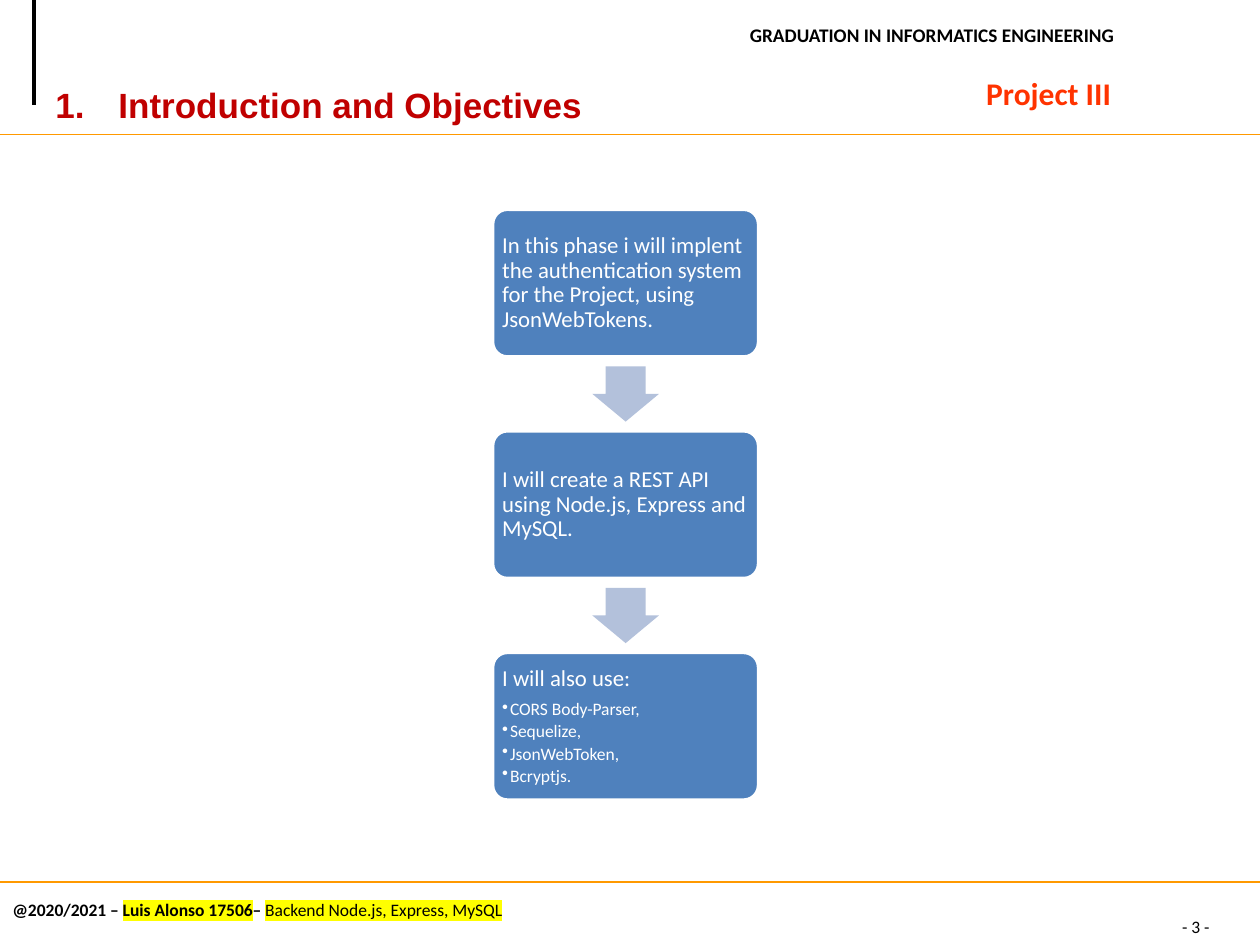
from lxml import etree
from pptx import Presentation
from pptx import util as u
from pptx.dml.color import RGBColor
from pptx.enum import shapes, text
from pptx.oxml.ns import qn

Pt = u.Pt
BLACK = RGBColor(0x00, 0x00, 0x00)
WHITE = RGBColor(0xFF, 0xFF, 0xFF)
ORANGE = RGBColor(0xFF, 0x99, 0x00)
RED = RGBColor(0xC0, 0x00, 0x00)
BRIGHT_RED = RGBColor(0xFF, 0x33, 0x00)
BLUE = RGBColor(0x4F, 0x81, 0xBD)
PALE_BLUE = RGBColor(0xB3, 0xC1, 0xDB)
YELLOW = RGBColor(0xFF, 0xFF, 0x00)

# Vertical flow of boxes joined by arrows
BOX_LEFT, BOX_TOP, BOX_WIDTH, BOX_HEIGHT = 281.5, 119.6, 152, 84.4
BOX_STEP = 126.6
ARROW_WIDTH, ARROW_HEIGHT = 38, 31.6
STEPS = [
    ("In this phase i will implent the authentication system "
     "for the Project, using JsonWebTokens.", []),
    ("I will create a REST API using Node.js, Express and MySQL.", []),
    ("I will also use:",
     ["CORS Body-Parser,", "Sequelize,", "JsonWebToken,", "Bcryptjs."]),
]


def add_run(paragraph, words, size, color, bold=False, font="Calibri", highlight=None):
    run = paragraph.add_run()
    run.text = words
    if highlight is not None:
        marker = etree.SubElement(run._r.get_or_add_rPr(), qn("a:highlight"))
        etree.SubElement(marker, qn("a:srgbClr"), val=str(highlight))
    run.font.size = Pt(size)
    run.font.bold = bold
    run.font.name = font
    run.font.color.rgb = color


def add_bullet(paragraph, indent, tag, **attributes):
    properties = paragraph._p.get_or_add_pPr()
    properties.set("marL", str(Pt(indent)))
    properties.set("indent", str(-Pt(indent)))
    etree.SubElement(properties, qn(tag), **attributes)


def add_line(slide, start, end, color, width):
    line = slide.shapes.add_connector(
        shapes.MSO_CONNECTOR.STRAIGHT, *(Pt(value) for value in start + end))
    line.line.color.rgb = color
    line.line.width = Pt(width)
    etree.SubElement(line._element.spPr, qn("a:effectLst"))


def add_label(slide, left, top, width, height, wrap=True):
    """Add a text box and return its first paragraph."""
    label = slide.shapes.add_textbox(Pt(left), Pt(top), Pt(width), Pt(height))
    label.text_frame.word_wrap = wrap
    return label.text_frame.paragraphs[0]


def add_preset(slide, preset, left, top, width, height, fill):
    shape = slide.shapes.add_shape(preset, Pt(left), Pt(top), Pt(width), Pt(height))
    shape.shadow.inherit = False
    shape.fill.solid()
    shape.fill.fore_color.rgb = fill
    return shape


def add_step(slide, top, heading, items):
    box = add_preset(slide, shapes.MSO_SHAPE.ROUNDED_RECTANGLE,
                     BOX_LEFT, top, BOX_WIDTH, BOX_HEIGHT, BLUE)
    box.adjustments[0] = 0.1
    box.line.color.rgb = WHITE
    box.line.width = Pt(2)
    frame = box.text_frame
    frame.word_wrap = True
    frame.vertical_anchor = text.MSO_ANCHOR.MIDDLE
    frame.margin_left = frame.margin_right = Pt(3)
    frame.margin_top = frame.margin_bottom = Pt(3)

    for index, words in enumerate([heading] + items):
        paragraph = frame.add_paragraph() if index else frame.paragraphs[0]
        paragraph.alignment = text.PP_ALIGN.LEFT
        paragraph.line_spacing = 0.9
        paragraph.space_after = Pt(1.8 if index else 5.5)
        if index:
            paragraph.level = 1
            add_bullet(paragraph, 4.5, "a:buChar", char="•")
        add_run(paragraph, words, 10 if index else 13, WHITE)


def add_arrow(slide, top):
    arrow = add_preset(slide, shapes.MSO_SHAPE.DOWN_ARROW,
                       BOX_LEFT + (BOX_WIDTH - ARROW_WIDTH) / 2, top,
                       ARROW_WIDTH, ARROW_HEIGHT, PALE_BLUE)
    arrow.adjustments[0] = 0.6
    arrow.adjustments[1] = 0.5
    arrow.line.fill.background()


def set_title(slide, words):
    title = slide.shapes.title
    title.left, title.top, title.width, title.height = Pt(24.5), Pt(44), Pt(550), Pt(31.5)
    frame = title.text_frame
    frame.auto_size = text.MSO_AUTO_SIZE.NONE
    frame.vertical_anchor = text.MSO_ANCHOR.TOP
    paragraph = frame.paragraphs[0]
    paragraph.alignment = text.PP_ALIGN.LEFT
    paragraph.space_before = Pt(0)
    add_bullet(paragraph, 36, "a:buAutoNum", type="arabicPeriod")
    add_run(paragraph, words, 20, RED, bold=True, font="Arial")


def main():
    presentation = Presentation()
    presentation.slide_width, presentation.slide_height = Pt(720), Pt(540)
    slide = presentation.slides.add_slide(presentation.slide_layouts[5])

    # Rules of header and footer
    for height in (77, 504):
        add_line(slide, (0, height), (720, height), ORANGE, 0.75)
    add_line(slide, (19.5, 0), (19.5, 60), BLACK, 2)

    # Header
    set_title(slide, "Introduction and Objectives")
    course = add_label(slide, 368, 10, 276, 21)
    course.alignment = text.PP_ALIGN.RIGHT
    add_run(course, "GRADUATION IN INFORMATICS ENGINEERING", 11, BLACK, bold=True)
    project = add_label(slide, 556.5, 39, 86.5, 29, wrap=False)
    add_run(project, "Project III", 18, BRIGHT_RED, bold=True)

    # Flow
    for index, (heading, items) in enumerate(STEPS):
        top = BOX_TOP + index * BOX_STEP
        if index:
            gap = BOX_STEP - BOX_HEIGHT
            add_arrow(slide, top - (gap + ARROW_HEIGHT) / 2)
        add_step(slide, top, heading, items)

    # Footer
    credit = add_label(slide, 0, 504, 426, 24)
    credit.line_spacing = 1.5
    add_run(credit, "@2020/2021 – ", 10, BLACK, bold=True)
    add_run(credit, "Luis Alonso 17506", 10, BLACK, bold=True, highlight=YELLOW)
    add_run(credit, "– ", 10, BLACK, bold=True)
    add_run(credit, "Backend Node.js, Express, MySQL", 10, BLACK, highlight=YELLOW)
    number = add_label(slide, 646.5, 520, 73.5, 20)
    number.alignment = text.PP_ALIGN.CENTER
    add_run(number, "- 3 -", 10, BLACK)

    presentation.save("out.pptx")


if __name__ == "__main__":
    main()
